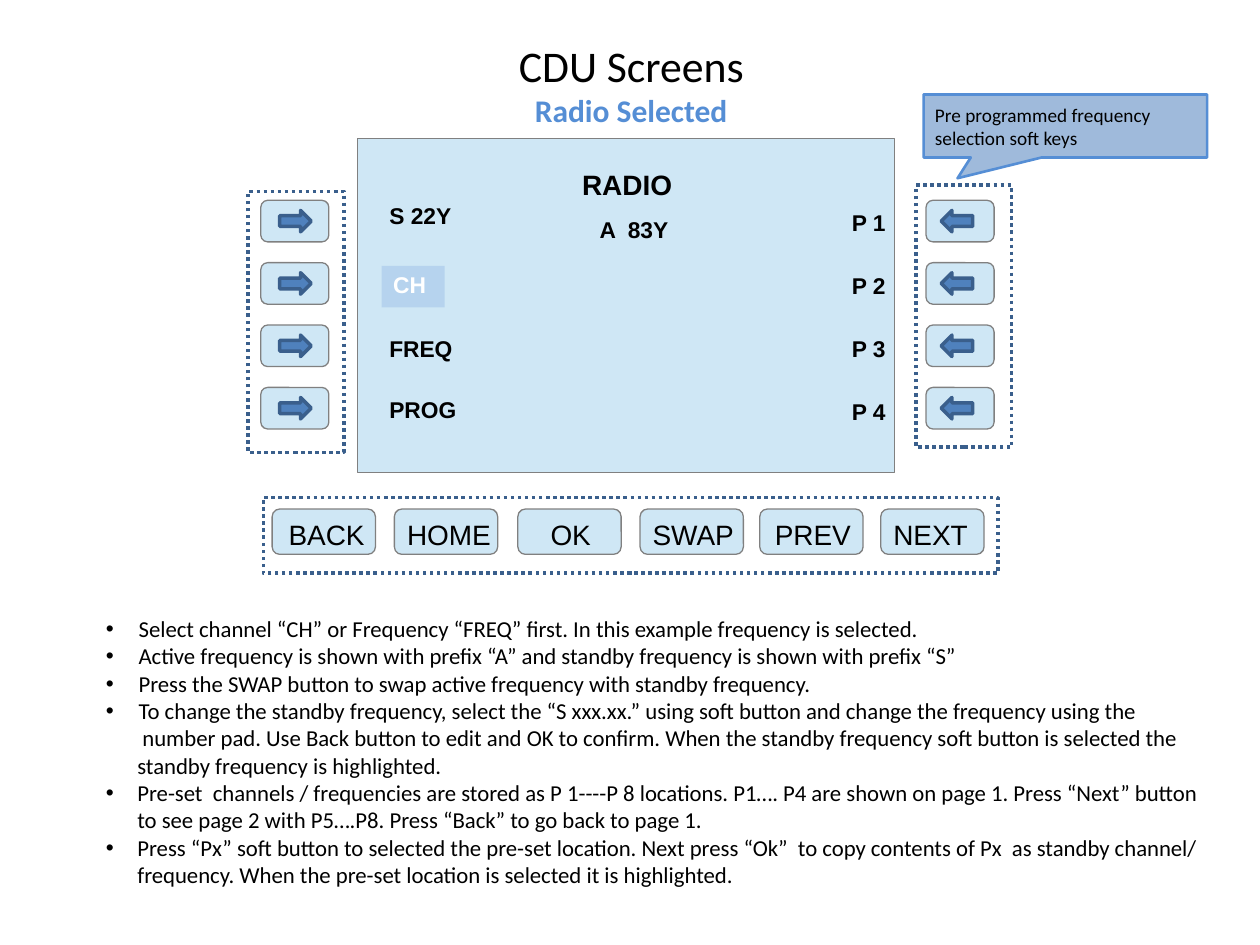
from lxml.etree import SubElement
from pptx import Presentation
from pptx.dml.color import RGBColor
from pptx.enum.dml import MSO_LINE
from pptx.enum.shapes import MSO_SHAPE as SHP
from pptx.enum.text import MSO_ANCHOR, MSO_AUTO_SIZE, PP_ALIGN
from pptx.oxml.ns import qn
from pptx.util import Inches, Pt

rgb = RGBColor.from_string
PALE, GREY, NAVY, BLUE, SKY = "CFE7F5", "808080", "3A5F8C", "4F81BD", "558ED5"
ROW_TOP, ROW_STEP = 1.59, 0.495
KEY_W, KEY_H = 0.54, 0.33

prs = Presentation()
prs.slide_width, prs.slide_height = Inches(10), Inches(7.5)
s = prs.slides.add_slide(prs.slide_layouts[1])


def add_shape(kind, x, y, w, h, fill=None, line=None, width=0, alpha=None):
    """Add a preset shape; alpha is the fill's opacity in percent."""
    sp = s.shapes.add_shape(kind, Inches(x), Inches(y), Inches(w), Inches(h))
    sp.shadow.inherit = False
    if fill:
        sp.fill.solid()
        sp.fill.fore_color.rgb = rgb(fill)
    else:
        sp.fill.background()
    if alpha:
        clr = sp.fill._xPr.find(qn("a:solidFill"))[0]
        SubElement(clr, qn("a:alpha")).set("val", str(alpha * 1000))
    if line:
        sp.line.color.rgb = rgb(line)
        sp.line.width = Pt(width)
    else:
        sp.line.fill.background()
    return sp


def add_run(p, text, size, color="000000", bold=False, font="Calibri"):
    r = p.add_run()
    r.text = text
    r.font.size, r.font.bold, r.font.name = Pt(size), bold, font
    r.font.color.rgb = rgb(color)


# Title
sp = s.shapes.title
sp.left, sp.top, sp.width, sp.height = map(Inches, (0.51, 0.25, 9, 1.25))
tf = sp.text_frame
tf.auto_size = MSO_AUTO_SIZE.NONE
tf.vertical_anchor = MSO_ANCHOR.MIDDLE
tf.margin_bottom = Inches(0.47)
p = tf.paragraphs[0]
p.alignment = PP_ALIGN.CENTER
add_run(p, "CDU Screens", 25)
p.add_line_break()
add_run(p, "Radio Selected", 18, SKY, True)

# Instructions: text, left margin, first-line indent, bulleted
notes = [
    ("Select channel “CH” or Frequency “FREQ” first. In this example frequency is selected.", 0.26, -0.26, True),
    ("Active frequency is shown with prefix “A” and standby frequency is shown with prefix “S”", 0.26, -0.26, True),
    ("Press the SWAP button to swap active frequency with standby frequency.", 0.26, -0.26, True),
    ("To change the standby frequency, select the “S xxx.xx.” using soft button and change the frequency using the",
     0.26, -0.26, True),
    ("number pad. Use Back button to edit and OK to confirm. When the standby frequency soft button is selected "
     "the standby frequency is highlighted.", 0.25, 0.04, False),
    ("Pre-set  channels / frequencies are stored as P 1----P 8 locations. P1…. P4 are shown on page 1. "
     "Press “Next” button to see page 2 with P5….P8. Press “Back” to go back to page 1.", 0.25, -0.25, True),
    ("Press “Px” soft button to selected the pre-set location. Next press “Ok”  to copy contents of Px  as "
     "standby channel/ frequency. When the pre-set location is selected it is highlighted.", 0.25, -0.25, True),
]
sp = s.placeholders[1]
sp.left, sp.top, sp.width, sp.height = map(Inches, (0.75, 4.83, 8.98, 2.28))
tf = sp.text_frame
tf.auto_size = MSO_AUTO_SIZE.NONE
tf.margin_left = tf.margin_right = Inches(0.09)
for i, (text, margin, indent, bulleted) in enumerate(notes):
    p = tf.add_paragraph() if i else tf.paragraphs[0]
    p.space_before = Pt(0)
    pPr = p._p.get_or_add_pPr()
    pPr.set("marL", str(Inches(margin)))
    pPr.set("indent", str(Inches(indent)))
    if bulleted:
        SubElement(pPr, qn("a:buFont")).set("typeface", "Arial")
        SubElement(pPr, qn("a:buChar")).set("char", "•")
    else:
        SubElement(pPr, qn("a:buNone"))
    add_run(p, text, 13)

# Display, dotted key groups and the highlight behind CH
add_shape(SHP.RECTANGLE, 2.84, 1.1, 4.26, 2.65, PALE, GREY)
for box in [(1.97, 1.52, 0.76, 2.07), (7.27, 1.47, 0.76, 2.08), (2.09, 3.95, 5.83, 0.6)]:
    add_shape(SHP.RECTANGLE, *box, line=NAVY, width=2).line.dash_style = MSO_LINE.ROUND_DOT
add_shape(SHP.RECTANGLE, 3.03, 2.11, 0.5, 0.33, "8EB4E3", alpha=38)

# Soft keys on both sides
for key_x, arrow_x, arrow in [(2.07, 2.22, SHP.RIGHT_ARROW), (7.35, 7.47, SHP.LEFT_ARROW)]:
    for row in range(4):
        y = ROW_TOP + row * ROW_STEP
        add_shape(SHP.ROUNDED_RECTANGLE, key_x, y, KEY_W, KEY_H, PALE, GREY)
        add_shape(arrow, arrow_x, y + 0.08, 0.25, 0.17, BLUE, NAVY, 2)

# Bottom keys
for x in (2.16, 3.13, 4.11, 5.08, 6.03, 6.99):
    add_shape(SHP.ROUNDED_RECTANGLE, x, 4.04, 0.82, 0.36, PALE, GREY)

# Labels: text, left, top, width, size, bold, colour
labels = [("RADIO", 4.53, 1.29, 0.95, 16, True, "000000"),
          ("A  83Y", 4.67, 1.67, 0.73, 13, True, "000000"),
          ("S 22Y", 3, 1.56, 0.68, 13, True, "000000"),
          ("CH", 3.03, 2.11, 0.65, 13, True, "FFFFFF"),
          ("FREQ", 3, 2.62, 0.69, 13, True, "000000"),
          ("PROG", 3, 3.1, 0.72, 13, True, "000000")]
labels += [(f"P {n + 1}", 6.67, 1.62 + n * 0.5, 0.45, 13, True, "000000") for n in range(4)]
labels += [(text, x, 4.07, w, 16, False, "000000") for text, x, w in [
    ("BACK", 2.2, 0.79), ("HOME", 3.14, 0.85), ("OK", 4.28, 0.6),
    ("SWAP", 5.09, 0.83), ("PREV", 6.06, 0.79), ("NEXT", 7, 0.78)]]
for text, x, y, w, size, bold, color in labels:
    h = 0.35 if size == 16 else 0.3
    tf = s.shapes.add_textbox(Inches(x), Inches(y), Inches(w), Inches(h)).text_frame
    tf.word_wrap = False
    tf.margin_left = tf.margin_right = Inches(0.09)
    tf.margin_top = tf.margin_bottom = Inches(0.04)
    p = tf.paragraphs[0]
    p.alignment = PP_ALIGN.LEFT
    add_run(p, text, size, color, bold, "Arial")

# Callout
sp = add_shape(SHP.RECTANGULAR_CALLOUT, 7.33, 0.75, 2.25, 0.5, BLUE, SKY, 1.5, alpha=54)
sp.adjustments[0], sp.adjustments[1] = -0.38, 0.83
tf = sp.text_frame
tf.word_wrap = True
tf.vertical_anchor = MSO_ANCHOR.MIDDLE
tf.margin_left = tf.margin_right = Inches(0.09)
p = tf.paragraphs[0]
p.alignment = PP_ALIGN.LEFT
add_run(p, "Pre programmed frequency selection soft keys", 11)

prs.save("out.pptx")
